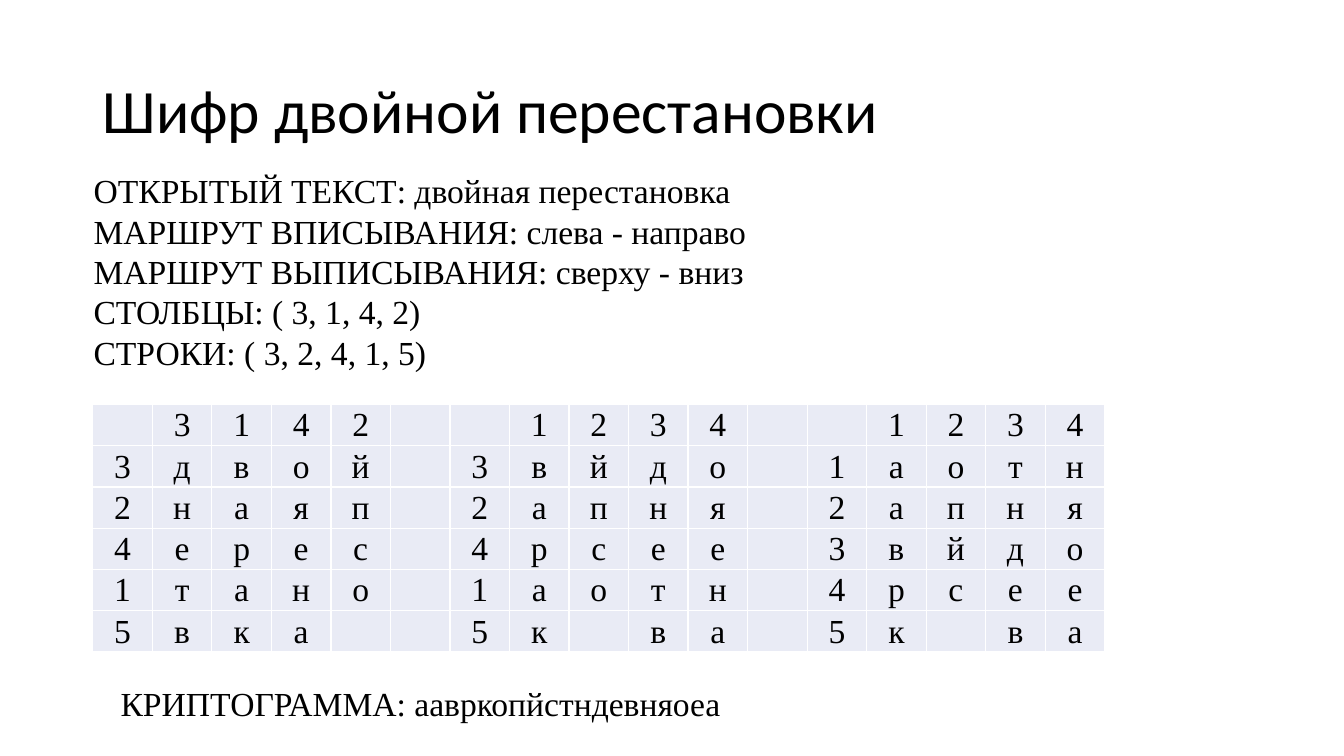
from dataclasses import dataclass

import pptx
import pptx.dml.color
import pptx.enum.text
import pptx.oxml
import pptx.oxml.ns
import pptx.util
from pptx.enum.text import MSO_ANCHOR, MSO_AUTO_SIZE, PP_ALIGN
from pptx.util import Cm

BLACK = pptx.dml.color.RGBColor(0x00, 0x00, 0x00)
WHITE = pptx.dml.color.RGBColor(0xFF, 0xFF, 0xFF)
PALE = pptx.dml.color.RGBColor(0xE9, 0xEB, 0xF5)
SERIF = "Times New Roman"

PLAIN = "двойнаяперестановка"
COLUMN_KEY = "3142"
ROW_KEY = "32415"
GRID_WIDTH = len(COLUMN_KEY)


@dataclass
class Label:
    lines: list[str]
    left: float
    top: float
    width: float
    height: float
    font: str = SERIF
    size: int = 24
    spacing: float = 1.0
    wrap: bool = False


@dataclass
class Grid:
    columns: str
    rows: str
    letters: list[str]

    def cells(self) -> list[list[str]]:
        body = [[key, *line] for key, line in zip(self.rows, self.letters)]
        return [["", *self.columns], *body]


LABELS = [
    Label(["Шифр двойной перестановки"], 2.34, 1.02, 29.21, 3.68,
          font="Calibri", size=44, spacing=0.9, wrap=True),
    Label(["ОТКРЫТЫЙ ТЕКСТ: двойная перестановка",
           "МАРШРУТ ВПИСЫВАНИЯ: слева - направо",
           "МАРШРУТ ВЫПИСЫВАНИЯ: сверху - вниз",
           "СТОЛБЦЫ: ( 3, 1, 4, 2)",
           "СТРОКИ: ( 3, 2, 4, 1, 5)"], 2.11, 4.14, 17.35, 5.38),
    Label(["КРИПТОГРАММА: аавркопйстндевняоеа"], 2.79, 17.09, 16.0, 1.27),
]


def reorder(items: list[str] | str, key: str) -> list[str]:
    return [item for _, item in sorted(zip(key, items))]


def build_grids() -> list[Grid]:
    written = [PLAIN[i:i + GRID_WIDTH].ljust(GRID_WIDTH)
               for i in range(0, len(PLAIN), GRID_WIDTH)]
    by_column = ["".join(reorder(line, COLUMN_KEY)) for line in written]
    by_row = reorder(by_column, ROW_KEY)
    columns, rows = "".join(sorted(COLUMN_KEY)), "".join(sorted(ROW_KEY))
    return [Grid(COLUMN_KEY, ROW_KEY, written),
            Grid(columns, ROW_KEY, by_column),
            Grid(columns, rows, by_row)]


def write(p, text: str, *, font: str = SERIF, size: int = 24,
          align=PP_ALIGN.LEFT, spacing: float = 1.0) -> None:
    p.alignment = align
    p.line_spacing = spacing
    r = p.add_run()
    r.text = text
    r.font.name = font
    r.font.size = pptx.util.Pt(size)
    r.font.color.rgb = BLACK


def add_label(s, label: Label) -> None:
    sp = s.shapes.add_textbox(Cm(label.left), Cm(label.top),
                              Cm(label.width), Cm(label.height))
    tf = sp.text_frame
    tf.word_wrap = label.wrap
    tf.auto_size = MSO_AUTO_SIZE.NONE if label.wrap else MSO_AUTO_SIZE.SHAPE_TO_FIT_TEXT
    tf.vertical_anchor = MSO_ANCHOR.MIDDLE
    for i, line in enumerate(label.lines):
        p = tf.add_paragraph() if i else tf.paragraphs[0]
        write(p, line, font=label.font, size=label.size, spacing=label.spacing)


def add_borders(cell) -> None:
    tc_pr = cell._tc.get_or_add_tcPr()
    for side in ("lnL", "lnR", "lnT", "lnB"):
        tc_pr.append(pptx.oxml.parse_xml(
            f'<a:{side} {pptx.oxml.ns.nsdecls("a")} w="12700">'
            f'<a:solidFill><a:srgbClr val="{WHITE}"/></a:solidFill></a:{side}>'))


def fill_cell(cell, text: str) -> None:
    add_borders(cell)
    cell.fill.solid()
    cell.fill.fore_color.rgb = PALE
    cell.vertical_anchor = MSO_ANCHOR.MIDDLE
    cell.margin_left = cell.margin_right = cell.margin_top = Cm(0.02)
    cell.margin_bottom = 0
    if text.strip():
        write(cell.text_frame.paragraphs[0], text, align=PP_ALIGN.CENTER)


def add_grids(s, grids: list[Grid]) -> None:
    first, second, third = (grid.cells() for grid in grids)
    lines = [[*a, "", *b, "", *c] for a, b, c in zip(first, second, third)]
    table = s.shapes.add_table(len(lines), len(lines[0]), Cm(2.34), Cm(10.19),
                               Cm(25.5), Cm(6.25)).table
    table.first_row = table.horz_banding = False
    for row, line in zip(table.rows, lines):
        row.height = Cm(1.04)
        for cell, text in zip(row.cells, line):
            fill_cell(cell, text)


def main() -> None:
    prs = pptx.Presentation()
    prs.slide_width, prs.slide_height = Cm(33.87), Cm(19.05)
    s = prs.slides.add_slide(prs.slide_layouts[6])
    title, conditions, cryptogram = LABELS
    add_label(s, title)
    add_label(s, conditions)
    add_grids(s, build_grids())
    add_label(s, cryptogram)
    prs.save("out.pptx")


if __name__ == "__main__":
    main()
